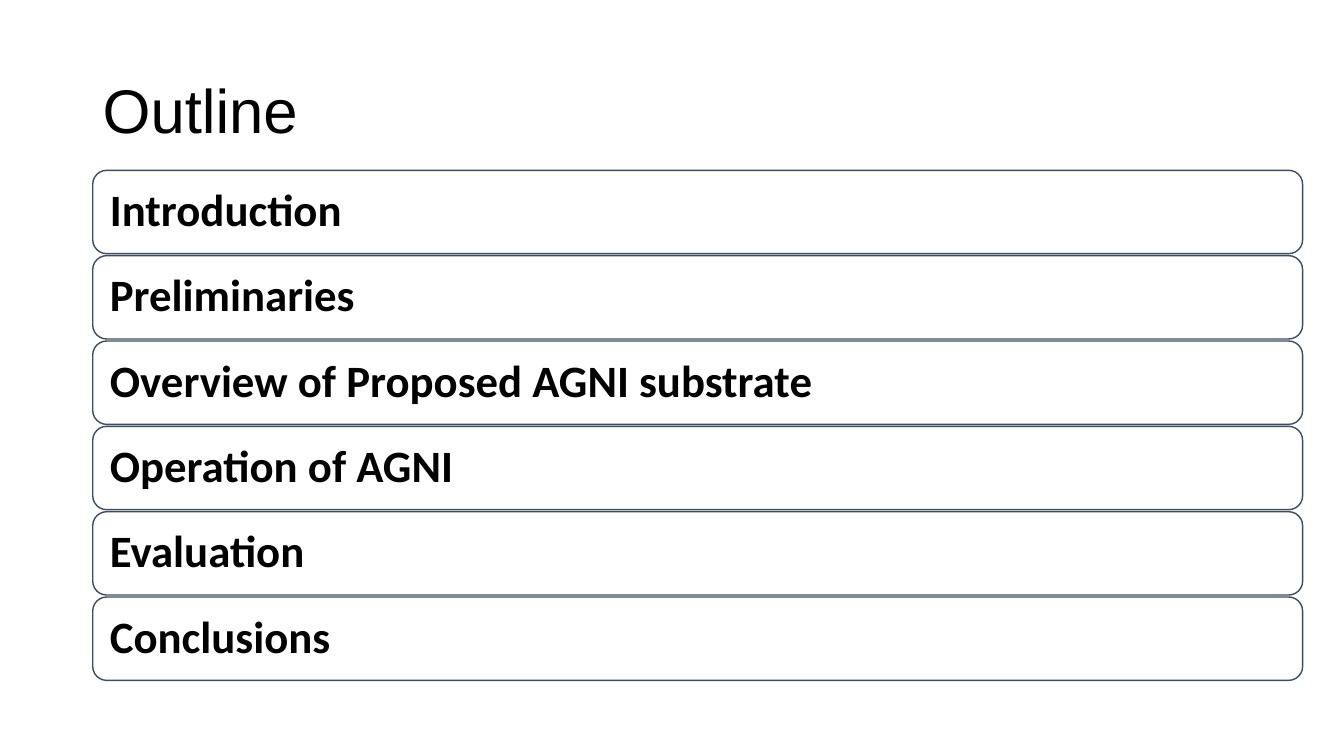
from pptx import Presentation
from pptx.dml.color import RGBColor
from pptx.enum.shapes import MSO_SHAPE
from pptx.enum.text import MSO_ANCHOR, PP_ALIGN
from pptx.util import Inches, Pt

ROUND = MSO_SHAPE.ROUNDED_RECTANGLE
MIDDLE = MSO_ANCHOR.MIDDLE
LEFT = PP_ALIGN.LEFT

COLORS = {"text": "000000", "fill": "FFFFFF", "line": "3E4C60"}
TOPICS = [
    "Introduction",
    "Preliminaries",
    "Overview of Proposed AGNI substrate",
    "Operation of AGNI",
    "Evaluation",
    "Conclusions",
]


def color(name):
    return RGBColor.from_string(COLORS[name])


def write(shape, text, font, size, bold=False):
    """Put one left-aligned, vertically centred line into the shape."""
    frame = shape.text_frame
    frame.word_wrap = True
    frame.vertical_anchor = MIDDLE
    para = frame.paragraphs[0]
    para.alignment = LEFT
    para.line_spacing = 0.9
    run = para.add_run()
    run.text = text
    run.font.name = font
    run.font.size = Pt(size)
    run.font.bold = bold
    run.font.color.rgb = color("text")


def add_title(slide, text, x, y, w, h):
    box = slide.shapes.add_textbox(Inches(x), Inches(y), Inches(w), Inches(h))
    write(box, text, "Arial", 44)


def add_list(slide, topics, x, y, w, h, gap=0.02):
    """Stack one rounded bar per topic, filling the given box."""
    bar_h = (h - gap * (len(topics) - 1)) / len(topics)
    for i, topic in enumerate(topics):
        top = y + i * (bar_h + gap)
        bar = slide.shapes.add_shape(
            ROUND, Inches(x), Inches(top), Inches(w), Inches(bar_h))
        bar.shadow.inherit = False
        bar.fill.solid()
        bar.fill.fore_color.rgb = color("fill")
        bar.line.color.rgb = color("line")
        bar.line.width = Pt(1)
        frame = bar.text_frame
        frame.margin_left = frame.margin_right = Inches(0.13)
        frame.margin_top = frame.margin_bottom = Inches(0.13)
        write(bar, topic, "Calibri", 32, bold=True)


def main():
    prs = Presentation()
    prs.slide_width = Inches(13.33)
    prs.slide_height = Inches(7.5)
    slide = prs.slides.add_slide(prs.slide_layouts[6])
    add_title(slide, "Outline", 0.92, 0.4, 11.5, 1.45)
    add_list(slide, TOPICS, 0.92, 1.69, 12, 5.06)
    prs.save("out.pptx")


if __name__ == "__main__":
    main()
